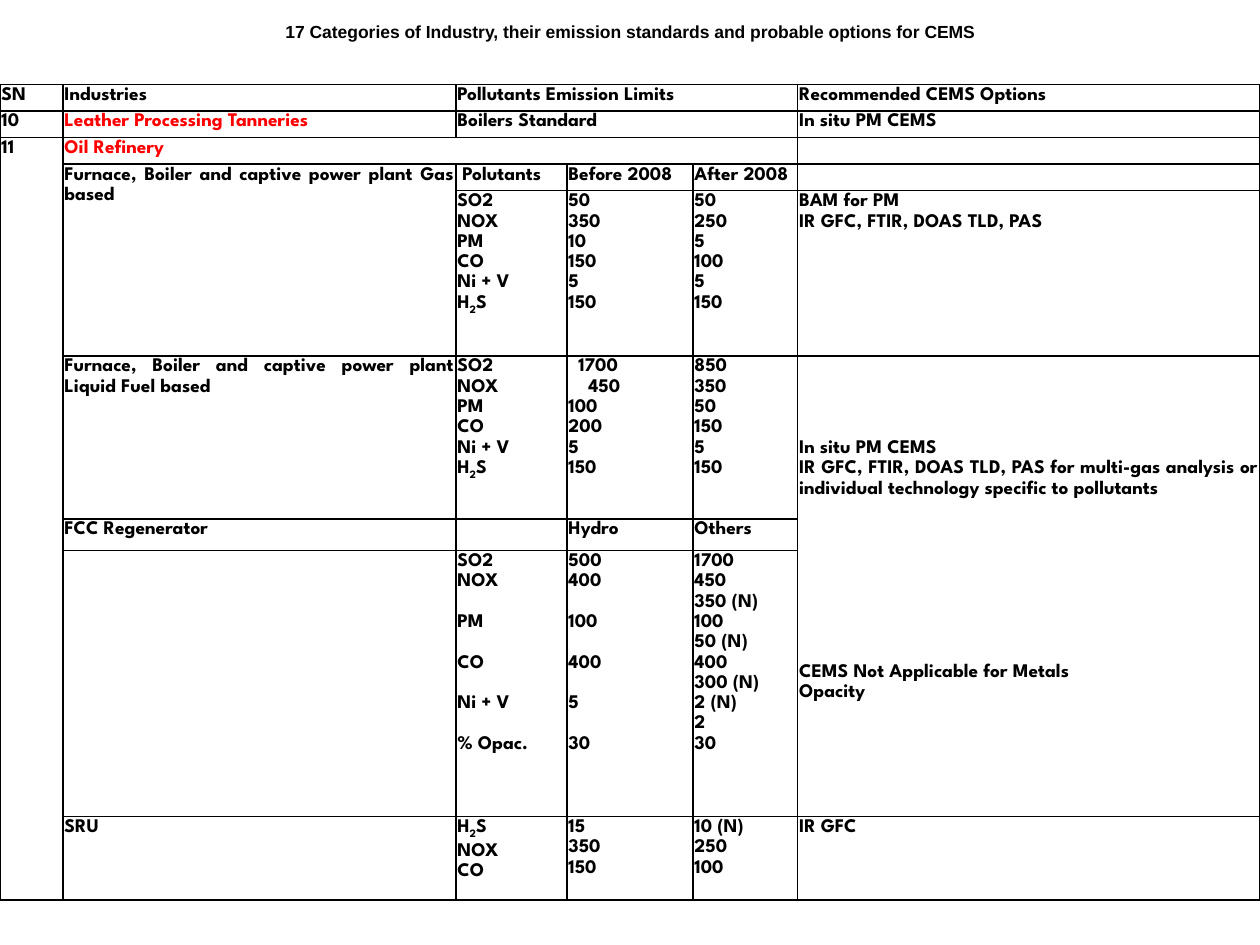
from pptx import Presentation
from pptx.dml.color import RGBColor
from pptx.enum.text import MSO_ANCHOR, MSO_AUTO_SIZE, PP_ALIGN
from pptx.oxml import parse_xml
from pptx.oxml.ns import nsdecls
from pptx.util import Cm, Pt

MIDDLE = MSO_ANCHOR.MIDDLE
GROW = MSO_AUTO_SIZE.SHAPE_TO_FIT_TEXT
CENTER, JUST = PP_ALIGN.CENTER, PP_ALIGN.JUSTIFY

HEX = {"ink": "000000", "red": "FF0000"}
TITLE = "17 Categories of Industry, their emission standards and probable options for CEMS"
GAP = None  # one line left free
GASES = ["SO2", "NOX", "PM", "CO", "Ni + V", "H~2~S"]  # ~ marks a subscript

# Cells by (row, column); a line is a text or a (text, indent in cm) pair
CELLS = {
    (0, 0): ["SN"],
    (0, 1): ["Industries"],
    (0, 2): ["Pollutants Emission Limits"],
    (0, 5): ["Recommended CEMS Options"],
    (1, 0): ["10"],
    (1, 1): ["Leather Processing Tanneries"],
    (1, 2): ["Boilers Standard"],
    (1, 5): ["In situ PM CEMS"],
    (2, 0): ["11"],
    (2, 1): ["Oil Refinery"],
    (3, 1): ["Furnace, Boiler and captive power plant Gas based"],
    (3, 2): [("Polutants", 0.1)],
    (3, 3): ["Before 2008"],
    (3, 4): ["After 2008"],
    (4, 2): GASES,
    (4, 3): ["50", "350", "10", "150", "5", "150"],
    (4, 4): ["50", "250", "5", "100", "5", "150"],
    (4, 5): ["BAM for PM", "IR GFC, FTIR, DOAS TLD, PAS"],
    (5, 1): ["Furnace, Boiler and captive power plant Liquid Fuel based"],
    (5, 2): GASES,
    (5, 3): [("1700", 0.2), ("450", 0.4), "100", "200", "5", "150"],
    (5, 4): ["850", "350", "50", "150", "5", "150"],
    (5, 5): [GAP] * 4 + [
        "In situ PM CEMS",
        "IR GFC, FTIR, DOAS TLD, PAS for multi-gas analysis or "
        "individual technology specific to pollutants",
    ] + [GAP] * 8 + ["CEMS Not Applicable for Metals", "Opacity"],
    (6, 1): ["FCC Regenerator"],
    (6, 3): ["Hydro"],
    (6, 4): ["Others"],
    (7, 2): ["SO2", "NOX", GAP, "PM", GAP, "CO", GAP, "Ni + V", GAP, "% Opac."],
    (7, 3): ["500", "400", GAP, "100", GAP, "400", GAP, "5", GAP, "30"],
    (7, 4): ["1700", "450", "350 (N)", "100", "50 (N)", "400", "300 (N)",
             "2 (N)", "2", "30"],
    (8, 1): ["SRU"],
    (8, 2): ["H~2~S", "NOX", "CO"],
    (8, 3): ["15", "350", "150"],
    (8, 4): ["10 (N)", "250", "100"],
    (8, 5): ["IR GFC"],
}
RED = {(1, 1), (2, 1)}
SPANS = [((0, 2), (0, 4)), ((1, 2), (1, 4)), ((2, 0), (8, 0)),
         ((2, 1), (2, 4)), ((3, 1), (4, 1)), ((5, 5), (7, 5))]

# Sizes in cm, type in points
WIDE, TALL, TOP = 25.4, 19.05, 1.7
COLS = [1.27, 7.92, 2.24, 2.54, 2.11, 9.32]
ROWS = [0.53] * 4 + [3.33, 3.28, 0.64, 5.36, 1.6]
SIZE, PITCH = 11, 11.65
BODY = {"name": "League Spartan", "size": Pt(SIZE), "bold": True}
HEAD = {"name": "Arial", "size": Pt(10), "bold": True}
PAD = {"margin_left": Cm(0.03), "margin_right": Cm(0.03),
       "margin_top": 0, "margin_bottom": 0}


def style(item, form):
    for key, val in form.items():
        setattr(item, key, val)


def ink(font, form, tone):
    style(font, form)
    font.color.rgb = RGBColor.from_string(HEX[tone])


def frame(cell):
    """Clear the fill and rule all four sides."""
    cell.fill.background()
    props = cell._tc.get_or_add_tcPr()
    for spot, side in enumerate("LRTB"):
        props.insert(spot, parse_xml(
            f'<a:ln{side} {nsdecls("a")} w="12700"><a:solidFill>'
            f'<a:srgbClr val="{HEX["ink"]}"/></a:solidFill></a:ln{side}>'))


def write(cell, lines, tone):
    """Write the lines; free lines become top margin or paragraph space."""
    text = cell.text_frame
    first, free = True, 0
    for line in lines:
        if line is GAP:
            free += 1
            continue
        words, inset = line if isinstance(line, tuple) else (line, 0)
        para = text.paragraphs[0] if first else text.add_paragraph()
        style(para, {"alignment": JUST, "line_spacing": 1.15})
        if free and first:
            cell.margin_top = Pt(free * PITCH)
        elif free:
            para.space_before = Pt(free * PITCH)
        if inset:
            para._p.get_or_add_pPr().set("marL", str(Cm(inset)))
        for part, bit in enumerate(words.split("~")):
            run = para.add_run()
            run.text = bit
            ink(run.font, BODY, tone)
            if part % 2:
                run._r.get_or_add_rPr().set("baseline", "-25000")
        first, free = False, 0


def main():
    deck = Presentation()
    style(deck, {"slide_width": Cm(WIDE), "slide_height": Cm(TALL)})
    slide = deck.slides.add_slide(deck.slide_layouts[5])

    # Title
    title = slide.shapes.title
    style(title, {"left": 0, "top": 0, "width": Cm(WIDE), "height": Cm(1.27)})
    text = title.text_frame
    text.text = TITLE
    style(text, {"word_wrap": False, "auto_size": GROW, "vertical_anchor": MIDDLE})
    text.paragraphs[0].alignment = CENTER
    ink(text.paragraphs[0].runs[0].font, HEAD, "ink")

    # Table grid
    grid = slide.shapes.add_table(len(ROWS), len(COLS), 0, Cm(TOP),
                                  Cm(WIDE), Cm(sum(ROWS))).table
    style(grid, {"first_row": False, "horz_banding": False})
    for col, width in zip(grid.columns, COLS):
        col.width = Cm(width)
    for row, height in zip(grid.rows, ROWS):
        row.height = Cm(height)
    for start, end in SPANS:
        grid.cell(*start).merge(grid.cell(*end))

    # Table cells
    for row in range(len(ROWS)):
        for col in range(len(COLS)):
            cell = grid.cell(row, col)
            style(cell, PAD)
            frame(cell)
            if (row, col) in CELLS:
                tone = "red" if (row, col) in RED else "ink"
                write(cell, CELLS[row, col], tone)
            else:
                mark = cell.text_frame.paragraphs[0]._p.get_or_add_endParaRPr()
                mark.set("sz", str(SIZE * 100))

    deck.save("out.pptx")


if __name__ == "__main__":
    main()
